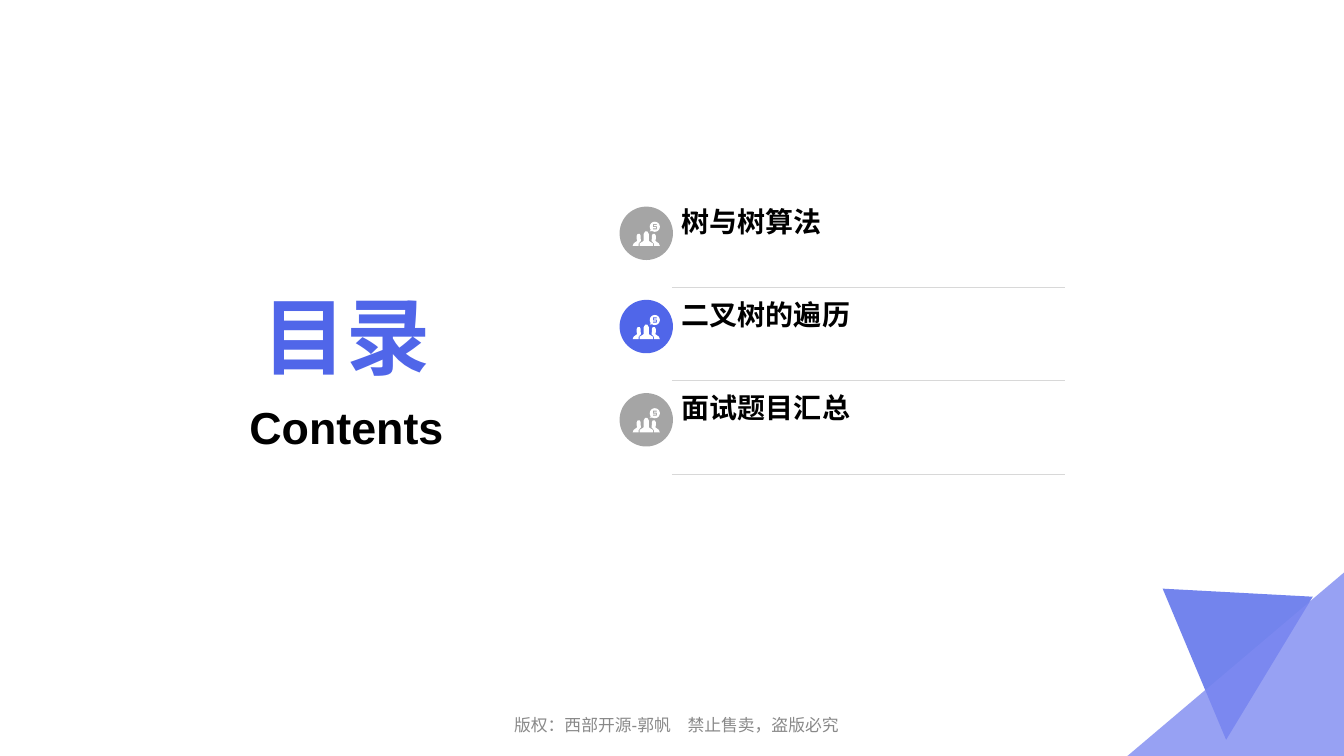
from math import cos, radians, sin

from lxml.etree import SubElement
from pptx import Presentation
from pptx.dml.color import RGBColor
from pptx.enum.shapes import MSO_CONNECTOR, MSO_SHAPE
from pptx.enum.text import MSO_ANCHOR as Anchor, PP_ALIGN as Align
from pptx.oxml.ns import qn
from pptx.util import Inches, Pt

WIDTH, HEIGHT = 13.34, 7.5
BLUE, GREY, BLACK, WHITE = "5066E9", "A5A5A5", "000000", "FFFFFF"
TOPICS = [("树与树算法", GREY), ("二叉树的遍历", BLUE), ("面试题目汇总", GREY)]
FIRST_ROW, ROW_PITCH = 1.96, 0.925
BADGE_LEFT, TOPIC_LEFT, TOPIC_WIDTH = 6.15, 6.67, 3.9
BADGE_SIZE = 0.53
TITLE_LEFT, TITLE_WIDTH = 2.09, 2.7

ICON_UNIT = 0.01
RIGHT_PERSON = [(20, 12), (22, 12), (23, 14), (23, 17), (22.5, 19), (26, 21.5),
                (27, 24), (21, 24), (21, 21.5), (18.7, 19), (19, 17), (19, 14)]
LEFT_PERSON = [(27 - x, y) for x, y in RIGHT_PERSON]
MIDDLE_PERSON = [(12.5, 9.5), (14.5, 9.5), (16, 12), (16, 19), (20, 21.5),
                 (20, 24), (7, 24), (7, 21.5), (11, 19), (11, 12)]
BUBBLE = [(22 + 5 * cos(radians(a)), 5 + 5 * sin(radians(a)))
          for a in range(-210, 121, 15)] + [(17, 9.5), (18, 8)]
COIN_SIGN = [(24, 2.5), (20, 2.5), (20, 5.5), (23, 5.5), (23, 6.5), (20, 6.5),
             (20, 7.5), (24, 7.5), (24, 4.5), (21, 4.5), (21, 3.5), (24, 3.5)]
ICON = [RIGHT_PERSON, LEFT_PERSON, MIDDLE_PERSON, BUBBLE, COIN_SIGN]


def rgb(code):
    """Turn a hex string into a colour."""
    return RGBColor.from_string(code)


def paint(shape, color, opacity=100):
    """Fill a shape without line or shadow."""
    shape.shadow.inherit = False
    shape.line.fill.background()
    shape.fill.solid()
    shape.fill.fore_color.rgb = rgb(color)
    if opacity < 100:
        tint = shape._element.spPr.find(qn("a:solidFill"))[0]
        SubElement(tint, qn("a:alpha"), val=str(opacity * 1000))


def add_outline(slide, contours, color, opacity=100):
    """Draw closed contours, in inches, as one filled shape."""
    contours = [[(Inches(x), Inches(y)) for x, y in points] for points in contours]
    builder = slide.shapes.build_freeform(*contours[0][0])
    for number, points in enumerate(contours):
        if number:
            builder.move_to(*points[0])
        builder.add_line_segments(points[1:], close=True)
    paint(builder.convert_to_shape(), color, opacity)


def add_label(slide, text, box, size, color, bold=True, align=Align.CENTER,
              anchor=Anchor.MIDDLE, bottom=0.05, spacing=1.0):
    """Add one line of text in a box given in inches."""
    frame = slide.shapes.add_textbox(*map(Inches, box)).text_frame
    frame.word_wrap = True
    frame.vertical_anchor = anchor
    frame.margin_bottom = Inches(bottom)
    frame.text = text
    paragraph = frame.paragraphs[0]
    paragraph.alignment = align
    paragraph.line_spacing = spacing
    font = paragraph.runs[0].font
    font.name, font.size, font.bold = "Arial", Pt(size), bold
    font.color.rgb = rgb(color)


def add_rule(slide, left, top, width):
    """Draw a thin horizontal separator."""
    rule = slide.shapes.add_connector(
        MSO_CONNECTOR.STRAIGHT, *map(Inches, (left, top, left + width, top)))
    rule.line.color.rgb = rgb("D8D8D8")
    rule.line.width = Pt(0.25)
    SubElement(rule._element.spPr, qn("a:effectLst"))


def add_topic(slide, row, topic, color):
    """Add one row of the contents with badge, name and separator."""
    top = FIRST_ROW + row * ROW_PITCH
    badge = slide.shapes.add_shape(MSO_SHAPE.OVAL, *map(
        Inches, (BADGE_LEFT, top + 0.09, BADGE_SIZE, BADGE_SIZE)))
    paint(badge, color)
    icon_left, icon_top = BADGE_LEFT + 0.13, top + 0.24
    add_outline(slide, [[(icon_left + x * ICON_UNIT, icon_top + y * ICON_UNIT)
                         for x, y in points] for points in ICON], WHITE)
    add_label(slide, topic, (TOPIC_LEFT, top, TOPIC_WIDTH, 0.42), 20, BLACK,
              align=Align.LEFT, bottom=0)
    add_rule(slide, TOPIC_LEFT, top + 0.89, TOPIC_WIDTH)


def main():
    """Build the contents slide."""
    deck = Presentation()
    deck.slide_width, deck.slide_height = Inches(WIDTH), Inches(HEIGHT)
    slide = deck.slides.add_slide(deck.slide_layouts[6])

    add_label(slide, "版权：西部开源-郭帆　禁止售卖，盗版必究", (4.55, 7, 4.33, 0.35),
              12, "898989", bold=False, spacing=1.2)
    add_outline(slide, [[(13.03, 5.92), (12.17, 7.34), (11.54, 5.84)]], BLUE, 80)
    add_outline(slide, [[(WIDTH, HEIGHT), (11.19, HEIGHT), (WIDTH, 5.68)]],
                "7E8AF1", 80)
    for row, (topic, color) in enumerate(TOPICS):
        add_topic(slide, row, topic, color)
    add_label(slide, "目录", (TITLE_LEFT, 2.62, TITLE_WIDTH, 1.25), 60, BLUE,
              anchor=Anchor.BOTTOM)
    add_label(slide, "Contents", (TITLE_LEFT, 3.92, TITLE_WIDTH, 0.55), 32, BLACK,
              anchor=Anchor.TOP)
    deck.save("out.pptx")


if __name__ == "__main__":
    main()
